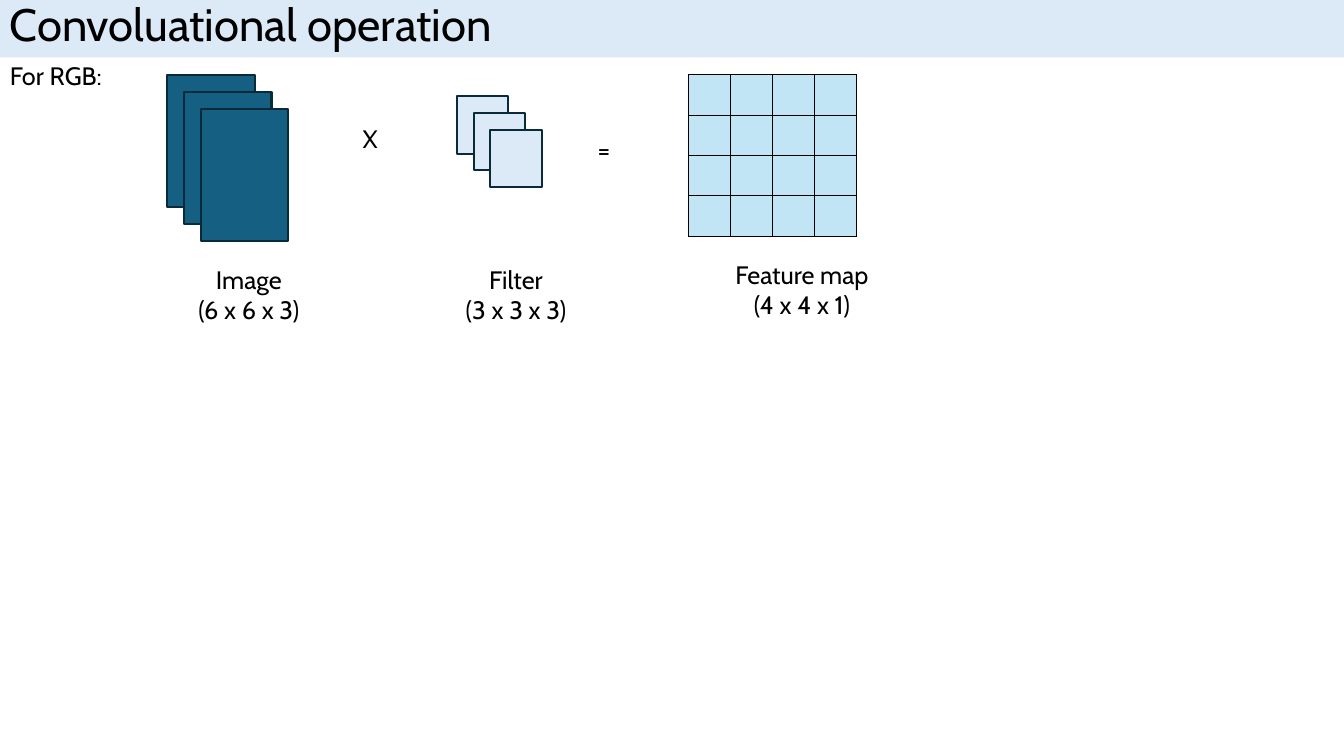
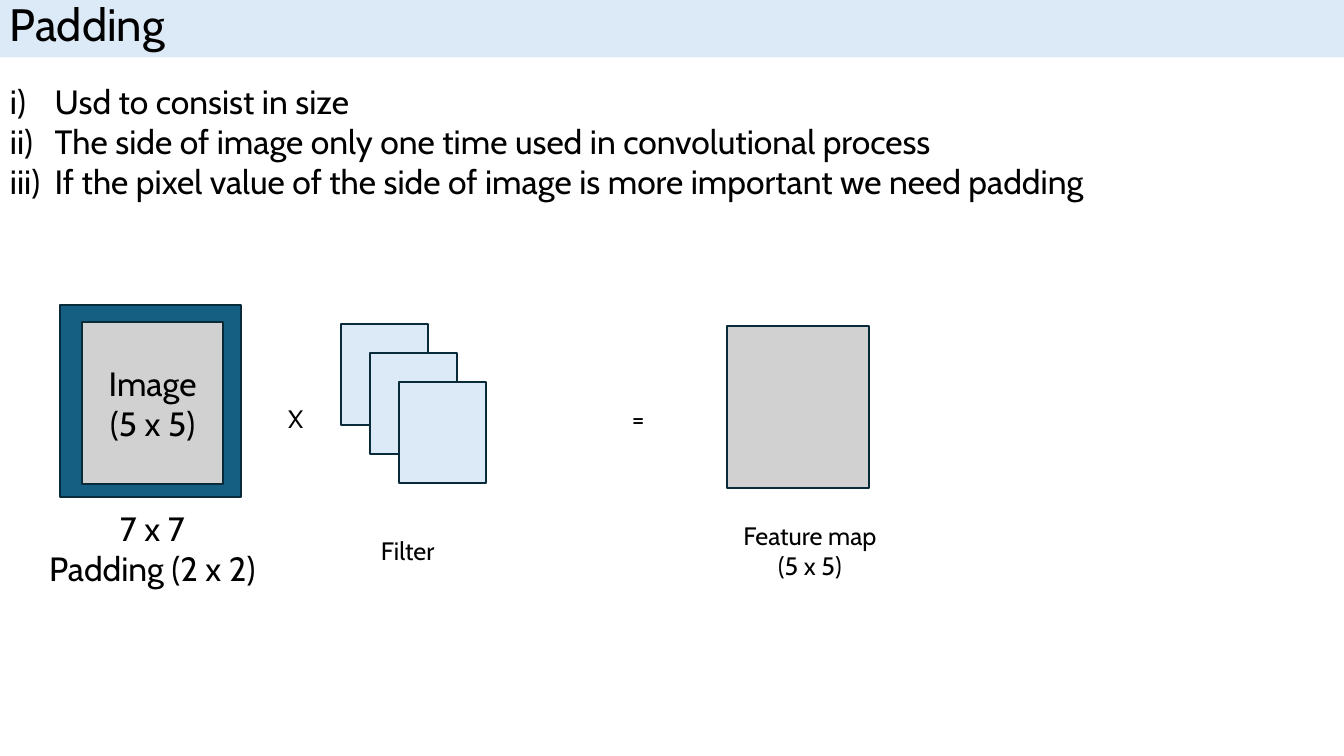
from lxml.etree import SubElement
from pptx import Presentation
from pptx.dml.color import RGBColor
from pptx.enum.shapes import MSO_SHAPE
from pptx.enum.text import MSO_ANCHOR, PP_ALIGN
from pptx.oxml.ns import qn
from pptx.util import Pt

FONT = "Cabin"
COLORS = {
    "text": "000000",
    "pale": "DCEAF7",
    "image": "156082",
    "outline": "092A39",
    "grid": "C1E5F5",
    "gray": "D1D1D1",
}
SLIDE_WIDTH, SLIDE_HEIGHT = 960, 540
BODY, LARGE, TITLE = 18, 24, 32.4


def color(name):
    return RGBColor.from_string(COLORS[name])


def write(text_frame, text, size, align=PP_ALIGN.LEFT):
    """Fill a text frame, one paragraph for each line."""
    text_frame.word_wrap = True
    text_frame.text = text
    for paragraph in text_frame.paragraphs:
        paragraph.alignment = align
        for run in paragraph.runs:
            run.font.name = FONT
            run.font.size = Pt(size)
            run.font.color.rgb = color("text")


def add_text(slide, box, text, size=BODY, align=PP_ALIGN.LEFT):
    text_box = slide.shapes.add_textbox(*map(Pt, box))
    write(text_box.text_frame, text, size, align)
    return text_box


def add_caption(slide, box, text, size=BODY):
    return add_text(slide, box, text, size, PP_ALIGN.CENTER)


def add_box(slide, box, fill, outlined=True):
    shape = slide.shapes.add_shape(MSO_SHAPE.RECTANGLE, *map(Pt, box))
    shape.shadow.inherit = False
    shape.fill.solid()
    shape.fill.fore_color.rgb = color(fill)
    if outlined:
        shape.line.color.rgb = color("outline")
        shape.line.width = Pt(1.5)
    else:
        shape.line.fill.background()
    shape.text_frame.vertical_anchor = MSO_ANCHOR.MIDDLE
    return shape


def add_stack(slide, box, fill, step, layers=3):
    """Overlapping channel sheets; box is the rearmost sheet."""
    left, top, width, height = box
    for layer in range(layers):
        offset = layer * step
        add_box(slide, (left + offset, top + offset, width, height), fill)


def add_borders(cell):
    properties = cell._tc.get_or_add_tcPr()
    for side in ("a:lnL", "a:lnR", "a:lnT", "a:lnB"):
        line = SubElement(properties, qn(side), w=str(Pt(1)))
        solid = SubElement(line, qn("a:solidFill"))
        SubElement(solid, qn("a:srgbClr"), val=COLORS["text"])


def add_feature_grid(slide, box, count=4):
    table = slide.shapes.add_table(count, count, *map(Pt, box)).table
    table.first_row = table.horz_banding = False
    for column in table.columns:
        column.width = Pt(box[2] / count)
    for row in table.rows:
        row.height = Pt(box[3] / count)
    for cell in table.iter_cells():
        cell.margin_top = cell.margin_bottom = 0
        add_borders(cell)
        cell.fill.solid()
        cell.fill.fore_color.rgb = color("grid")


def add_numbered_list(slide, box, lines, indent=32):
    text_box = add_text(slide, box, "\n".join(lines), LARGE)
    for paragraph in text_box.text_frame.paragraphs:
        properties = paragraph._p.get_or_add_pPr()
        properties.set("marL", str(Pt(indent)))
        properties.set("indent", str(-Pt(indent)))
        SubElement(properties, qn("a:buFont"), typeface="+mj-lt")
        SubElement(properties, qn("a:buAutoNum"), type="romanLcParenR")


def add_padded_image(slide, box):
    """Gray image inside its padding frame, with the size below."""
    left, top, width, height = box
    add_box(slide, box, "image")
    image = add_box(slide, (left + 15.5, top + 12, 101, 115.5), "gray")
    write(image.text_frame, "Image\n(5 x 5)", LARGE, PP_ALIGN.CENTER)
    add_caption(slide, (left - 23.5, top + height + 4, width + 49, 65.5),
                "7 x 7\nPadding (2 x 2)", LARGE)


def add_titled_slide(presentation, title):
    slide = presentation.slides.add_slide(presentation.slide_layouts[6])
    band = add_box(slide, (0, 0, SLIDE_WIDTH, 41), "pale", outlined=False)
    write(band.text_frame, title, TITLE)
    band.text_frame.paragraphs[0].line_spacing = 0.8
    return slide


def build_convolution(presentation):
    slide = add_titled_slide(presentation, "Convoluational operation")
    add_text(slide, (0, 39.6, 191.5, 29), "For RGB:")

    # Image x filter = feature map
    add_stack(slide, (119.3, 53.5, 62.6, 94.5), "image", 12.1)
    add_text(slide, (252, 84.2, 28, 29), "X")
    add_stack(slide, (326.3, 68.6, 36.8, 41.2), "pale", 12)
    add_text(slide, (419.8, 92.3, 28, 29), "=")
    add_feature_grid(slide, (491.8, 53.4, 120.2, 115.4))

    # Sizes
    add_caption(slide, (131, 185, 93.6, 51), "Image\n(6 x 6 x 3)")
    add_caption(slide, (321.8, 185, 93.6, 51), "Filter\n(3 x 3 x 3)")
    add_caption(slide, (512.8, 181.5, 120, 51), "Feature map\n(4 x 4 x 1)")


def build_padding(presentation):
    slide = add_titled_slide(presentation, "Padding")
    add_numbered_list(slide, (0, 54, 796, 94.5), (
        "Usd to consist in size",
        "The side of image only one time used in convolutional process",
        "If the pixel value of the side of image is more important "
        "we need padding",
    ))

    # Padded image x filter = feature map
    add_padded_image(slide, (43, 218, 129.5, 137))
    add_text(slide, (198.7, 284.4, 28, 29), "X")
    add_stack(slide, (243.4, 231.5, 62.5, 72.3), "pale", 20.7)
    add_text(slide, (265, 378.7, 74, 29), "Filter")
    add_text(slide, (444.3, 284.4, 28, 29), "=")
    add_box(slide, (519.5, 233, 101, 115.5), "gray")
    add_caption(slide, (519.8, 368, 117.4, 51), "Feature map\n(5 x 5)")


def main():
    presentation = Presentation()
    presentation.slide_width = Pt(SLIDE_WIDTH)
    presentation.slide_height = Pt(SLIDE_HEIGHT)
    build_convolution(presentation)
    build_padding(presentation)
    presentation.save("out.pptx")


if __name__ == "__main__":
    main()
